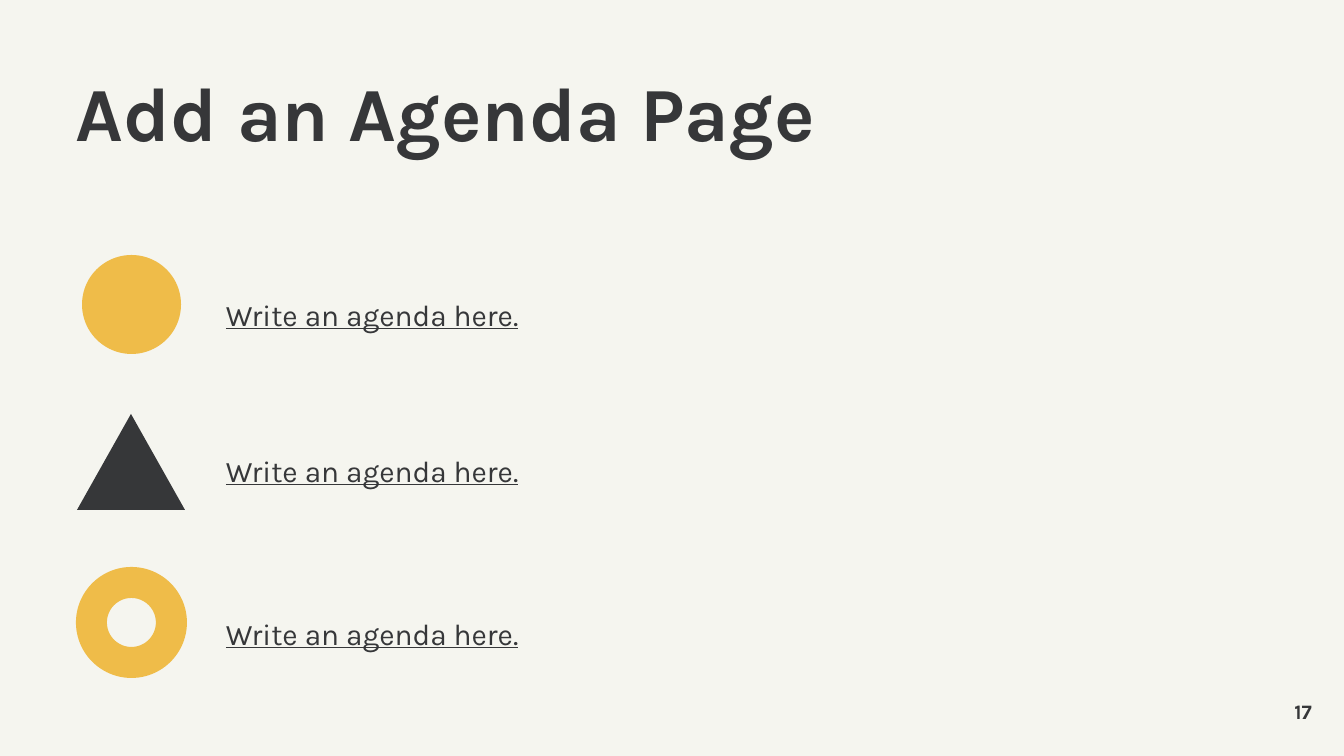
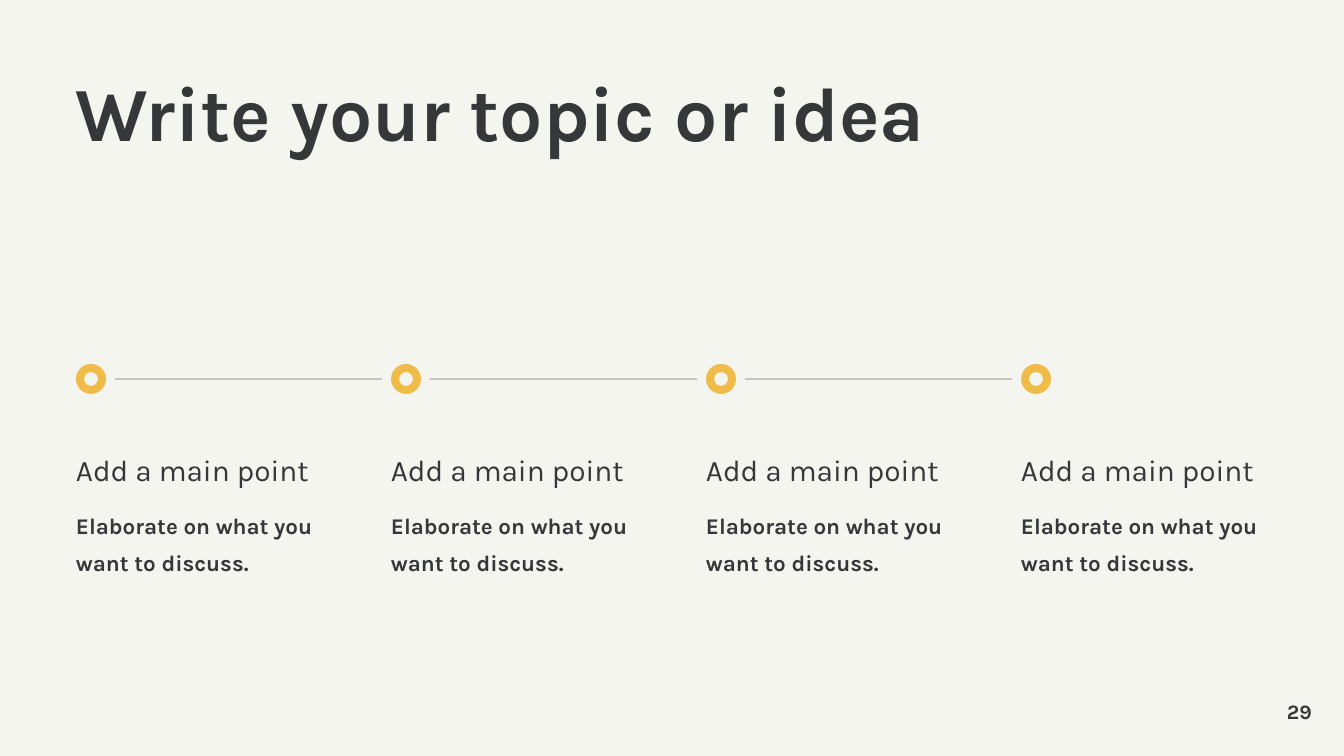
from itertools import pairwise

from lxml.etree import SubElement
from pptx import Presentation
from pptx.dml.color import RGBColor
from pptx.enum.shapes import MSO_CONNECTOR, MSO_SHAPE
from pptx.enum.text import MSO_ANCHOR, MSO_AUTO_SIZE, PP_ALIGN
from pptx.oxml.ns import qn
from pptx.util import Emu, Pt

# Shared look
SCALE = 914400 / 134.4
CREAM, CHARCOAL, YELLOW = "F5F5EF", "363739", "EFBC49"
FONT = "Karla"
MARGIN = 76


def px(length):
    return Emu(round(length * SCALE))


def color(hex_string):
    return RGBColor.from_string(hex_string)


def add_text(slide, text, left, top, width, height, size, bold=False,
             underline=None, spacing=1.4, grow=True):
    box = slide.shapes.add_textbox(px(left), px(top), px(width), px(height))
    frame = box.text_frame
    frame.word_wrap = True
    frame.auto_size = MSO_AUTO_SIZE.SHAPE_TO_FIT_TEXT if grow else MSO_AUTO_SIZE.NONE
    frame.margin_left = frame.margin_right = 0
    frame.margin_top = frame.margin_bottom = 0
    frame.text = text
    paragraph = frame.paragraphs[0]
    paragraph.line_spacing = spacing
    font = paragraph.runs[0].font
    font.name, font.size = FONT, Pt(size)
    font.bold, font.underline = bold, underline
    font.color.rgb = color(CHARCOAL)
    return frame


def add_mark(slide, kind, left, top, width, height, fill, thickness=None):
    mark = slide.shapes.add_shape(kind, px(left), px(top), px(width), px(height))
    mark.shadow.inherit = False
    mark.fill.solid()
    mark.fill.fore_color.rgb = color(fill)
    mark.line.fill.background()
    if thickness:
        mark.adjustments[0] = thickness / width


def add_link(slide, start, end, y):
    link = slide.shapes.add_connector(
        MSO_CONNECTOR.STRAIGHT, px(start), px(y), px(end), px(y))
    link.line.width = Pt(0.75)
    link.line.color.rgb = color(CHARCOAL)
    properties = link._element.spPr
    SubElement(next(properties.iter(qn("a:srgbClr"))), qn("a:alpha"), val="39000")
    SubElement(properties, qn("a:effectLst"))


def add_slide(deck, title, number):
    slide = deck.slides.add_slide(deck.slide_layouts[6])
    slide.background.fill.solid()
    slide.background.fill.fore_color.rgb = color(CREAM)
    add_text(slide, title, MARGIN, 75, 953, 106, 41, bold=True, spacing=0.9, grow=False)
    footer = add_text(slide, number, 1231, 698, 81, 27, 11, bold=True,
                      spacing=1.0, grow=False)
    footer.vertical_anchor = MSO_ANCHOR.MIDDLE
    footer.paragraphs[0].alignment = PP_ALIGN.RIGHT
    return slide


def build_agenda(deck):
    slide = add_slide(deck, "Add an Agenda Page", "17")
    # One mark beside each agenda line
    add_mark(slide, MSO_SHAPE.OVAL, 82, 255, 99, 99, YELLOW)
    add_mark(slide, MSO_SHAPE.ISOSCELES_TRIANGLE, 77, 414, 108, 96, CHARCOAL)
    add_mark(slide, MSO_SHAPE.DONUT, MARGIN, 567, 111, 111, YELLOW, thickness=31)
    for top in (282, 438, 601):
        add_text(slide, "Write an agenda here.", 226, top, 577, 36, 16, underline=True)


def build_timeline(deck):
    slide = add_slide(deck, "Write your topic or idea", "29")
    columns = [MARGIN + 315 * step for step in range(4)]
    # Links between neighbouring steps
    for left, following in pairwise(columns):
        add_link(slide, left + 39, following - 9, 379)
    # Step ring with its point and details
    for left in columns:
        add_mark(slide, MSO_SHAPE.DONUT, left, 364, 30, 30, YELLOW, thickness=8)
        add_text(slide, "Add a main point", left, 437, 247, 36, 16)
        add_text(slide, "Elaborate on what you want to discuss.",
                 left, 501, 247, 65, 12, bold=True)


def main():
    deck = Presentation()
    deck.slide_width, deck.slide_height = px(1344), px(756)
    build_agenda(deck)
    build_timeline(deck)
    deck.save("out.pptx")


if __name__ == "__main__":
    main()
